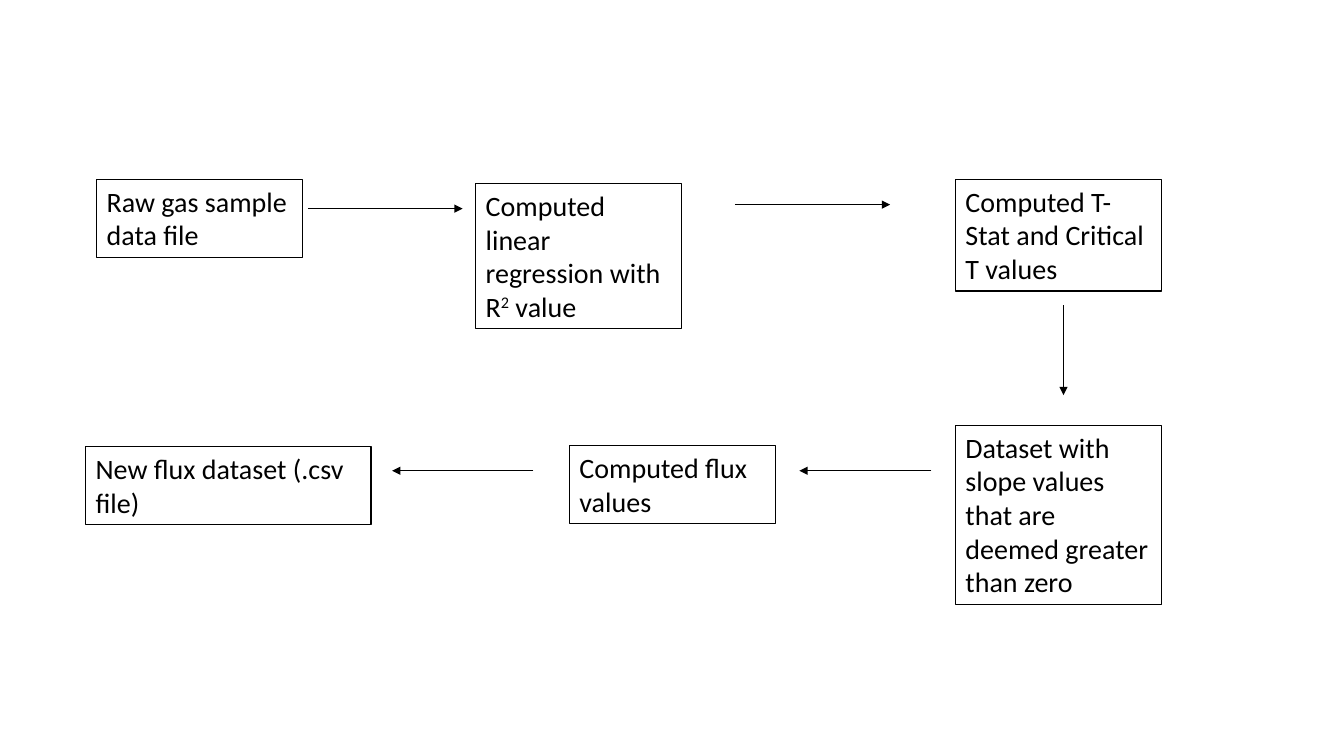
from lxml import etree
from pptx import Presentation
from pptx.dml.color import RGBColor
from pptx.enum.shapes import MSO_CONNECTOR
from pptx.enum.text import MSO_AUTO_SIZE
from pptx.oxml.ns import qn
from pptx.util import Inches, Pt

STRAIGHT = MSO_CONNECTOR.STRAIGHT
GROW = MSO_AUTO_SIZE.SHAPE_TO_FIT_TEXT
COLORS = {"ink": "000000", "paper": "FFFFFF"}
BLANK_LAYOUT = 6
STEP_WIDTH = 15.3


class FlowSlide:
    """Draws on a grid of 100 columns by 100 rows."""

    text_format = {"name": "Calibri", "size": Pt(20)}
    box_line, arrow_line = Pt(0.75), Pt(0.5)
    box_padding, text_row = 1.33, 4.48

    def __init__(self, deck):
        self.deck = deck
        self.slide = deck.slides.add_slide(deck.slide_layouts[BLANK_LAYOUT])
        background = self.slide.background.fill
        background.solid()
        background.fore_color.rgb = self.color("paper")

    def color(self, role):
        return RGBColor.from_string(COLORS[role])

    def place(self, column, row):
        return (round(self.deck.slide_width * column / 100),
                round(self.deck.slide_height * row / 100))

    def outline(self, element, width):
        element.line.color.rgb = self.color("ink")
        element.line.width = width

    def step(self, column, row, text_rows, parts, width=STEP_WIDTH):
        """Outlined text; every second part is a superscript."""
        height = self.box_padding + text_rows * self.text_row
        box = self.slide.shapes.add_textbox(
            *self.place(column, row), *self.place(width, height))
        self.outline(box, self.box_line)
        frame = box.text_frame
        for key, value in {"word_wrap": True, "auto_size": GROW}.items():
            setattr(frame, key, value)
        for index, part in enumerate(parts):
            run = frame.paragraphs[0].add_run()
            run.text = part
            for key, value in self.text_format.items():
                setattr(run.font, key, value)
            run.font.color.rgb = self.color("ink")
            if index % 2:
                run._r.get_or_add_rPr().set("baseline", "30000")

    def arrow(self, start, end):
        link = self.slide.shapes.add_connector(
            STRAIGHT, *self.place(*start), *self.place(*end))
        self.outline(link, self.arrow_line)
        etree.SubElement(link.line._get_or_add_ln(), qn("a:tailEnd"), type="triangle")
        etree.SubElement(link._element.spPr, qn("a:effectLst"))


deck = Presentation()
deck.slide_width, deck.slide_height = Inches(13.33), Inches(7.5)
flow = FlowSlide(deck)

# Upper row: from raw samples to test statistics
top_row, right_column = 23.73, 71.1
flow.step(7.2, top_row, 2, ["Raw gas sample data file"])
flow.step(35.4, 24.27, 4, ["Computed linear regression with R", "2", " value"])
flow.step(right_column, top_row, 3, ["Computed T-Stat and Critical T values"])

# Lower row: from significant slopes to the flux dataset
flow.step(right_column, 56.27, 5,
          ["Dataset with slope values that are deemed greater than zero"])
flow.step(42.38, 58.93, 2, ["Computed flux values"])
flow.step(6.38, 59.07, 2, ["New flux dataset (.csv file)"], width=21.23)

# Arrows in reading order of the process
return_row, descent_column = 62.27, 79.13
for start, end in [
    ((22.95, 27.6), (34.43, 27.6)),
    ((54.68, 27.07), (66.23, 27.07)),
    ((descent_column, 40.4), (descent_column, 52.27)),
    ((69.3, return_row), (59.48, return_row)),
    ((39.68, return_row), (29.18, return_row)),
]:
    flow.arrow(start, end)

deck.save("out.pptx")
